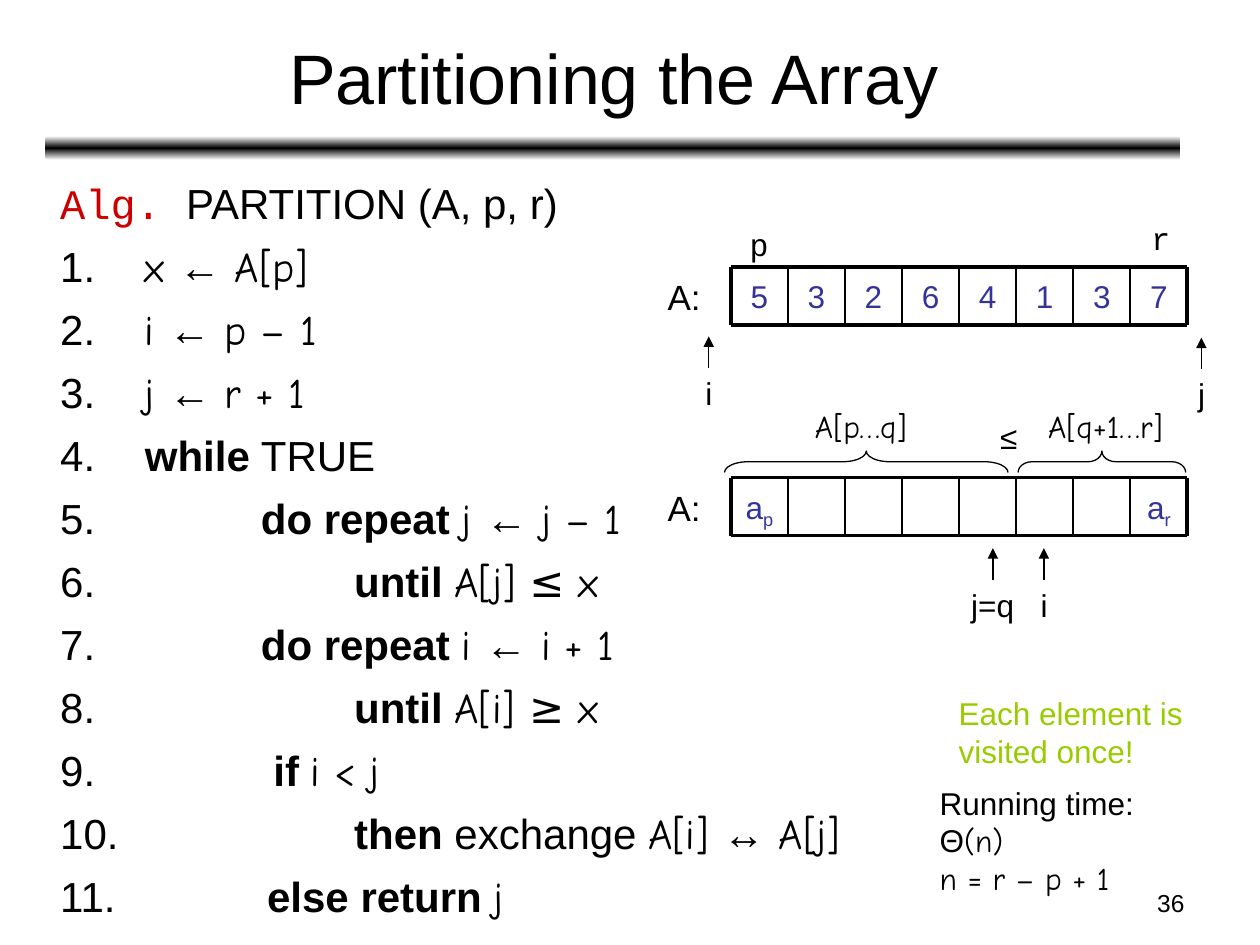
"""Build the slide that explains how the partition step divides an array."""
from copy import deepcopy
from typing import NamedTuple, Optional, Sequence

from lxml.etree import SubElement
from pptx import Presentation
from pptx.dml.color import RGBColor
from pptx.enum.shapes import MSO_CONNECTOR as Connector, MSO_SHAPE as Preset
from pptx.enum.text import MSO_ANCHOR as Anchor, MSO_AUTO_SIZE as AutoSize, PP_ALIGN as Align
from pptx.oxml.ns import qn
from pptx.util import Inches, Pt

BLACK = RGBColor(0x00, 0x00, 0x00)
WHITE = RGBColor(0xFF, 0xFF, 0xFF)
RED = RGBColor(0xCC, 0x00, 0x00)
BLUE = RGBColor(0x33, 0x33, 0x99)
GREEN = RGBColor(0x99, 0xCC, 0x00)
SANS, HAND, MONO = "Arial", "Comic Neue", "Courier New"

SLIDE_WIDTH, SLIDE_HEIGHT = Inches(10), Inches(7.5)
UNIT = SLIDE_WIDTH / 100
ARRAY_LEFT, CELL_COUNT = 58, 8
CELL_WIDTH, CELL_HEIGHT = 4.53, 4.6
ARRAY_RIGHT = ARRAY_LEFT + CELL_COUNT * CELL_WIDTH


class Box(NamedTuple):
    """A rectangle in grid columns and rows."""
    left: float
    top: float
    width: float
    height: float


class Run(NamedTuple):
    """A piece of text with its own format."""
    text: str
    font: Optional[str] = None
    bold: bool = False
    color: Optional[RGBColor] = None
    subscript: bool = False


class CodeLine(NamedTuple):
    """A numbered line of the algorithm and its indent in columns."""
    indent: float
    runs: Sequence[Run]


class Label(NamedTuple):
    """A short text beside an array."""
    text: str
    box: Box
    font: str = SANS
    size: float = 18
    arrow: bool = False


class Array(NamedTuple):
    """A row of cells, keyed by position."""
    top: float
    cells: dict


class Brace(NamedTuple):
    """A brace over a span of cells."""
    left: float
    right: float
    curve: float


def hand(text):
    return Run(text, HAND)


def bold(text):
    return Run(text, bold=True)


CODE = [
    CodeLine(5.8, [hand("x "), Run("←"), hand(" A[p]")]),
    CodeLine(5.8, [hand("i "), Run("←"), hand(" p – 1")]),
    CodeLine(5.8, [hand("j "), Run("←"), hand(" r + 1")]),
    CodeLine(5.8, [bold("while"), Run(" TRUE")]),
    CodeLine(15, [bold("do repeat "), hand("j "), Run("←"), hand(" j – 1")]),
    CodeLine(22.4, [bold("until "), hand("A[j] ≤ x")]),
    CodeLine(15, [bold("do repeat "), hand("i "), Run("←"), hand(" i + 1")]),
    CodeLine(22.4, [bold("until "), hand("A[i] ≥ x")]),
    CodeLine(16, [bold("if "), hand("i < j")]),
    CodeLine(22.4, [bold("then"), Run(" exchange "), hand("A[i] "), Run("↔"), hand(" A[j]")]),
    CodeLine(15.5, [bold("else return "), hand("j")]),
]
ARRAYS = [
    Array(21.2, {column: [Run(value)] for column, value in enumerate("53264137")}),
    Array(37.9, {0: [Run("a"), Run("p", subscript=True)],
                 CELL_COUNT - 1: [Run("a"), Run("r", subscript=True)]}),
]
BRACES = [Brace(57.5, 80, 1.1), Brace(80.8, 94.1, 0.65)]
LABELS = [
    Label("A:", Box(52, 21.4, 4.6, 4.4), size=20),
    Label("A:", Box(52, 38.1, 4.6, 4.4), size=20),
    Label("p", Box(58.5, 17.4, 3.5, 4), MONO),
    Label("r", Box(90.4, 16.9, 3, 4), MONO),
    Label("i", Box(55, 29.2, 2.5, 4), arrow=True),
    Label("j", Box(94.1, 29.3, 2.5, 4), arrow=True),
    Label("j=q", Box(76.1, 46, 5.4, 4), arrow=True),
    Label("i", Box(81.6, 46, 2.5, 4), arrow=True),
    Label("A[p…q]", Box(63.7, 31.8, 9.3, 4), HAND),
    Label("A[q+1…r]", Box(82.2, 31.8, 11.1, 4), HAND),
    Label("≤", Box(78.4, 32.7, 3.4, 4)),
]


def units(*values: float) -> list:
    return [round(value * UNIT) for value in values]


def add_text(slide, box: Box, paragraphs: Sequence, *, size: float, font=SANS, color=BLACK,
             align=Align.LEFT, anchor=Anchor.TOP, wrap=True, inset_top=0.5, gap=0):
    """Add a text box whose paragraphs are sequences of runs."""
    shape = slide.shapes.add_textbox(*units(*box))
    frame = shape.text_frame
    frame.word_wrap, frame.vertical_anchor = wrap, anchor
    frame.auto_size = AutoSize.NONE if wrap else AutoSize.SHAPE_TO_FIT_TEXT
    frame.margin_top, = units(inset_top)
    for index, runs in enumerate(paragraphs):
        paragraph = frame.add_paragraph() if index else frame.paragraphs[0]
        paragraph.alignment = align
        if index and gap:
            paragraph.space_before = Pt(gap)
        for piece in runs:
            run = paragraph.add_run()
            run.text = piece.text
            run.font.size, run.font.bold = Pt(size), piece.bold
            run.font.name = piece.font or font
            run.font.color.rgb = piece.color or color
            if piece.subscript:
                run._r.get_or_add_rPr().set("baseline", "-25000")
    return shape


def add_line(slide, start: tuple, end: tuple, weight: float, arrow=False):
    """Add a straight black line, with an arrowhead at its end if asked."""
    line = slide.shapes.add_connector(Connector.STRAIGHT, *units(*start, *end))
    line.line.color.rgb, line.line.width = BLACK, Pt(weight)
    if arrow:
        SubElement(line.line._get_or_add_ln(), qn("a:tailEnd"), type="triangle")
    SubElement(line._element.spPr, qn("a:effectLst"))
    return line


def add_rule(slide) -> None:
    """Add the bar under the title, fading from black to white."""
    shape = slide.shapes.add_shape(Preset.ROUNDED_RECTANGLE, *units(3.6, 10.8, 90.1, 1.9))
    shape.shadow.inherit = False
    shape.line.fill.background()
    shape.fill.gradient()
    shape.fill.gradient_angle = 90
    stops = shape._element.spPr.find(".//" + qn("a:gsLst"))
    stops.insert(1, deepcopy(stops[0]))
    for stop, position, color in zip(shape.fill.gradient_stops, (0, 0.5, 1), (WHITE, BLACK, WHITE)):
        stop.position, stop.color.rgb = position, color


def add_code(slide) -> None:
    """Add the heading of the algorithm and its numbered lines."""
    heading = [Run("Alg. ", MONO, color=RED), Run("PARTITION (A, p, r)")]
    lines = [[Run(" "), *line.runs] for line in CODE]
    shape = add_text(slide, Box(3.8, 13.3, 90, 58.4), [heading, *lines],
                     size=24, inset_top=0.8, gap=7.2)
    style = SubElement(shape.text_frame._txBody.find(qn("a:lstStyle")), qn("a:lvl1pPr"))
    defaults = SubElement(style, qn("a:defRPr"), sz="2400")
    SubElement(defaults, qn("a:latin"), typeface=SANS)
    for paragraph, line in zip(shape.text_frame.paragraphs[1:], CODE):
        properties = paragraph._p.get_or_add_pPr()
        indent, = units(line.indent)
        properties.set("marL", str(indent))
        properties.set("indent", str(-indent))
        SubElement(SubElement(properties, qn("a:buClr")), qn("a:srgbClr"), val=str(BLACK))
        SubElement(properties, qn("a:buFont"), typeface=SANS)
        SubElement(properties, qn("a:buAutoNum"), type="arabicPeriod")


def add_array(slide, array: Array) -> None:
    """Add the cells of an array, its frame and its dividers."""
    bottom = array.top + CELL_HEIGHT
    for column, runs in array.cells.items():
        box = Box(ARRAY_LEFT + column * CELL_WIDTH, array.top, CELL_WIDTH, CELL_HEIGHT)
        add_text(slide, box, [runs], size=18, color=BLUE, align=Align.CENTER, inset_top=0.8)
    for row in (array.top, bottom):
        add_line(slide, (ARRAY_LEFT, row), (ARRAY_RIGHT, row), 2.25)
    for column in range(CELL_COUNT + 1):
        left = ARRAY_LEFT + column * CELL_WIDTH
        add_line(slide, (left, array.top), (left, bottom), 2.25 if column in (0, CELL_COUNT) else 1)


def add_brace(slide, brace: Brace, top=35.8, depth=1.7) -> None:
    """Add a brace that points up, turned about its centre."""
    length = brace.right - brace.left
    box = Box((brace.left + brace.right - depth) / 2, top + (depth - length) / 2, depth, length)
    shape = slide.shapes.add_shape(Preset.LEFT_BRACE, *units(*box))
    shape.rotation, shape.shadow.inherit = 90, False
    shape.adjustments[0] = brace.curve
    shape.fill.background()
    shape.line.color.rgb, shape.line.width = BLACK, Pt(0.75)


def add_label(slide, label: Label) -> None:
    """Add a label and the arrow that rises from it."""
    box = label.box
    shape = add_text(slide, box, [[Run(label.text)]], size=label.size, font=label.font, wrap=False)
    if label.arrow:
        middle = box.left + box.width / 2
        arrow = add_line(slide, (middle, box.top), (middle, box.top - 2.5), 0.75, arrow=True)
        arrow.begin_connect(shape, 0)


def main() -> None:
    presentation = Presentation()
    presentation.slide_width, presentation.slide_height = SLIDE_WIDTH, SLIDE_HEIGHT
    slide = presentation.slides.add_slide(presentation.slide_layouts[6])
    add_rule(slide)
    add_text(slide, Box(71.7, 70, 23.3, 3.5), [[Run("36")]], size=14, align=Align.RIGHT)
    add_text(slide, Box(3.7, 1.1, 90, 9.9), [[Run("Partitioning the Array")]],
             size=40, align=Align.CENTER, anchor=Anchor.MIDDLE)
    add_code(slide)
    for array in ARRAYS:
        add_array(slide, array)
    for brace in BRACES:
        add_brace(slide, brace)
    for label in LABELS:
        add_label(slide, label)
    add_text(slide, Box(75.1, 54.6, 21, 7), [[Run("Each element is")], [Run("visited once!")]],
             size=18, color=GREEN)
    add_text(slide, Box(73.6, 61.7, 21, 10),
             [[Run("Running time: Θ"), hand("(n)")], [hand("n = r – p + 1")]], size=18)
    presentation.save("out.pptx")


if __name__ == "__main__":
    main()
